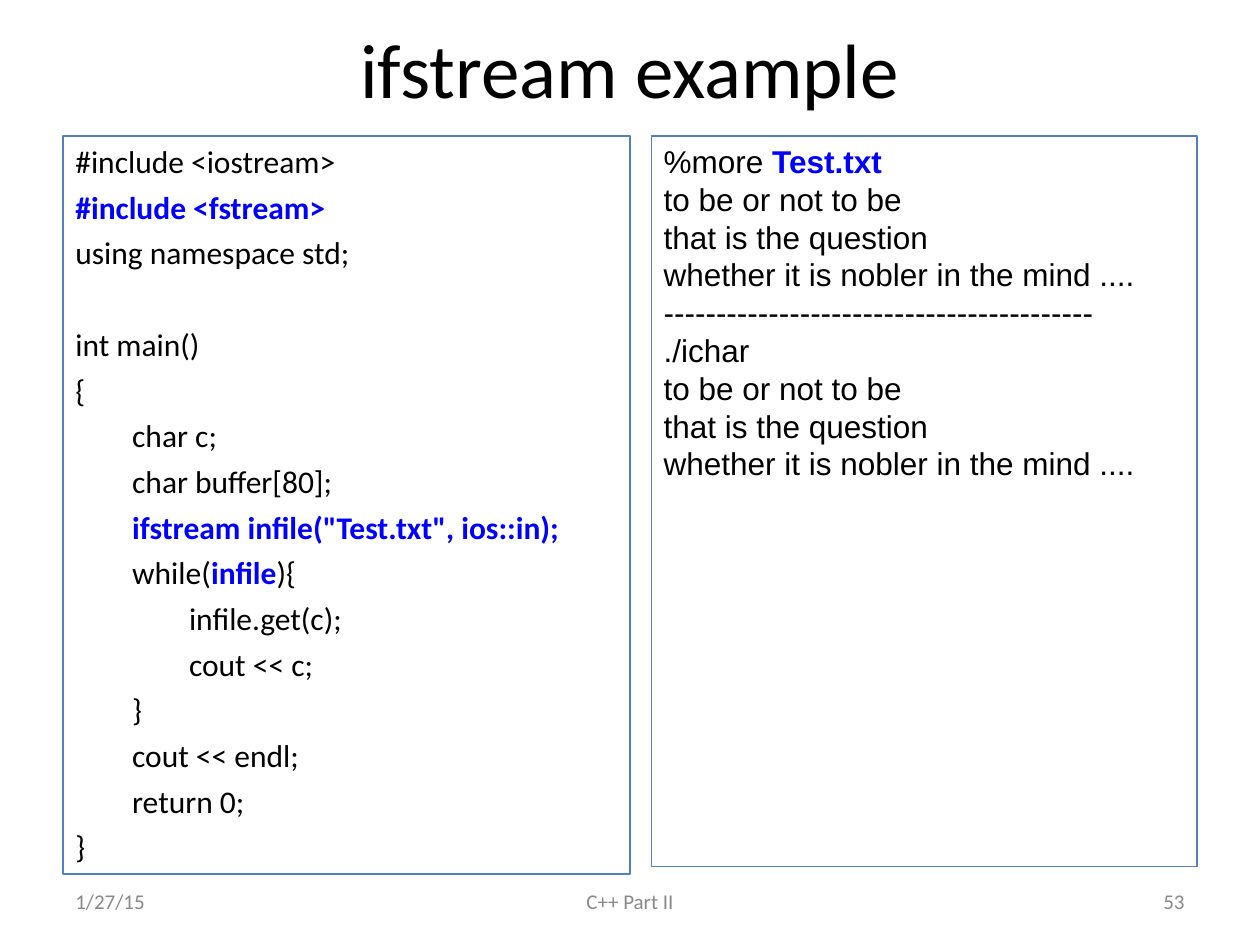
"""Build the "ifstream example" slide: a C++ listing beside its terminal output."""
from dataclasses import dataclass

from pptx import Presentation
from pptx.dml.color import RGBColor
from pptx.enum.shapes import MSO_SHAPE
from pptx.enum.text import MSO_ANCHOR, PP_ALIGN
from pptx.util import Cm, Pt


@dataclass(frozen=True)
class Theme:
    ink: RGBColor = RGBColor(0x00, 0x00, 0x00)
    accent: RGBColor = RGBColor(0x00, 0x00, 0xFF)
    muted: RGBColor = RGBColor(0x89, 0x89, 0x89)
    border: RGBColor = RGBColor(0x4F, 0x81, 0xBD)
    body_font: str = "Calibri"
    terminal_font: str = "Arial"
    title_size: Pt = Pt(44)
    body_size: Pt = Pt(18)
    footer_size: Pt = Pt(12)
    border_width: Pt = Pt(0.75)


THEME = Theme()
MARK = "|"


@dataclass(frozen=True)
class Box:
    left: float
    top: float
    width: float
    height: float


@dataclass(frozen=True)
class Label:
    text: str
    box: Box
    size: Pt
    color: RGBColor
    alignment: PP_ALIGN


@dataclass(frozen=True)
class Panel:
    box: Box
    font: str
    blocks: tuple[str, ...]
    line_gap: float = 0
    block_gap: float = 0


FOOTER_TOP, FOOTER_HEIGHT = 17.65, 1.02
LABELS = (
    Label("ifstream example", Box(1.27, 0, 22.86, 2.74),
          THEME.title_size, THEME.ink, PP_ALIGN.CENTER),
    Label("1/27/15", Box(1.27, FOOTER_TOP, 5.92, FOOTER_HEIGHT),
          THEME.footer_size, THEME.muted, PP_ALIGN.LEFT),
    Label("C++ Part II", Box(8.68, FOOTER_TOP, 8.04, FOOTER_HEIGHT),
          THEME.footer_size, THEME.muted, PP_ALIGN.CENTER),
    Label("53", Box(18.21, FOOTER_TOP, 5.92, FOOTER_HEIGHT),
          THEME.footer_size, THEME.muted, PP_ALIGN.RIGHT),
)

HEADER_CODE = """#include <iostream>
|#include <fstream>|
using namespace std;"""

MAIN_CODE = """int main()
{
        char c;
        char buffer[80];
|        ifstream infile("Test.txt", ios::in);|
        while(|infile|){
                infile.get(c);
                cout << c;
        }
        cout << endl;
        return 0;
}"""

TERMINAL = """%more |Test.txt|
to be or not to be
that is the question
whether it is nobler in the mind ....
-----------------------------------------
./ichar
to be or not to be
that is the question
whether it is nobler in the mind ...."""

PANELS = (
    Panel(Box(1.27, 2.74, 11.43, 14.88), THEME.body_font,
          (HEADER_CODE, MAIN_CODE), line_gap=4.5, block_gap=30.6),
    Panel(Box(13.13, 2.74, 11, 14.73), THEME.terminal_font, (TERMINAL,)),
)


def lengths(box: Box) -> tuple[Cm, ...]:
    """Return the box's left, top, width and height as lengths."""
    return tuple(Cm(value) for value in (box.left, box.top, box.width, box.height))


def style(paragraph, font: str, size: Pt, color: RGBColor, alignment: PP_ALIGN) -> None:
    """Set the alignment and shared font of a paragraph."""
    paragraph.alignment = alignment
    paragraph.font.name = font
    paragraph.font.size = size
    paragraph.font.color.rgb = color


def add_label(slide, label: Label) -> None:
    """Add a one-line text box, centred vertically."""
    frame = slide.shapes.add_textbox(*lengths(label.box)).text_frame
    frame.word_wrap = True
    frame.vertical_anchor = MSO_ANCHOR.MIDDLE
    paragraph = frame.paragraphs[0]
    paragraph.text = label.text
    style(paragraph, THEME.body_font, label.size, label.color, label.alignment)


def add_marked_runs(paragraph, line: str) -> None:
    """Add a line's runs, emphasising the parts between marks."""
    for index, part in enumerate(line.split(MARK)):
        if part:
            run = paragraph.add_run()
            run.text = part
            if index % 2:
                run.font.bold = True
                run.font.color.rgb = THEME.accent


def add_panel(slide, panel: Panel) -> None:
    """Add an outlined panel holding blocks of lines."""
    shape = slide.shapes.add_shape(MSO_SHAPE.RECTANGLE, *lengths(panel.box))
    shape.shadow.inherit = False
    shape.fill.background()
    shape.line.color.rgb = THEME.border
    shape.line.width = THEME.border_width
    frame = shape.text_frame
    frame.word_wrap = True
    frame.vertical_anchor = MSO_ANCHOR.TOP
    paragraph = None
    for block in panel.blocks:
        for index, line in enumerate(block.splitlines()):
            if paragraph is None:
                paragraph = frame.paragraphs[0]
            else:
                paragraph = frame.add_paragraph()
                paragraph.space_before = Pt(panel.line_gap if index else panel.block_gap)
            style(paragraph, panel.font, THEME.body_size, THEME.ink, PP_ALIGN.LEFT)
            add_marked_runs(paragraph, line)


def main() -> None:
    """Build and save the presentation."""
    presentation = Presentation()
    presentation.slide_width, presentation.slide_height = Cm(25.4), Cm(19.05)
    slide = presentation.slides.add_slide(presentation.slide_layouts[6])
    for label in LABELS:
        add_label(slide, label)
    for panel in PANELS:
        add_panel(slide, panel)
    presentation.save("out.pptx")


if __name__ == "__main__":
    main()
